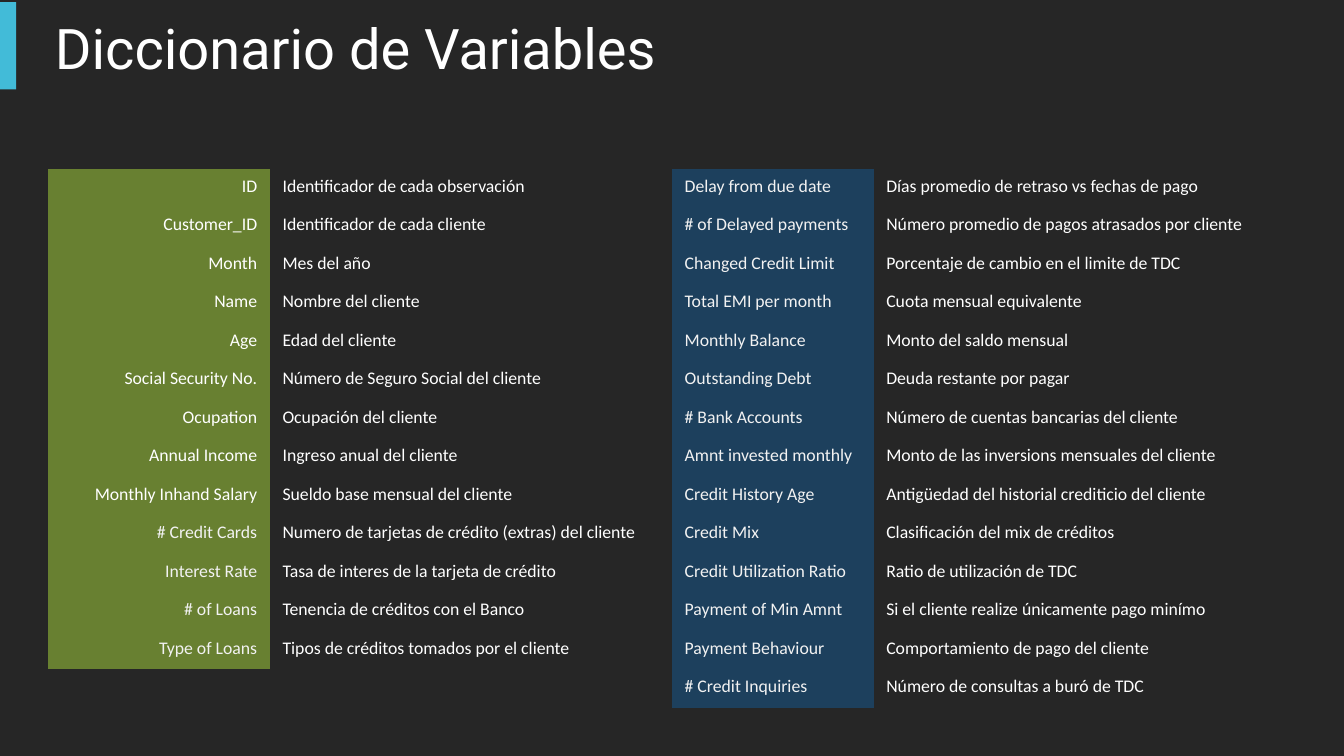
"""Build the variable dictionary slide with its two tables of names and meanings."""
from dataclasses import dataclass

from pptx import Presentation
from pptx.dml.color import RGBColor
from pptx.enum import shapes, text
from pptx.slide import Slide
from pptx.table import _Cell
from pptx.text.text import TextFrame
from pptx.util import Cm, Pt

CHARCOAL = RGBColor(0x26, 0x26, 0x26)
CYAN = RGBColor(0x42, 0xBB, 0xD8)
GREEN = RGBColor(0x68, 0x80, 0x31)
NAVY = RGBColor(0x1D, 0x40, 0x5D)
WHITE = RGBColor(0xFF, 0xFF, 0xFF)
PALE = RGBColor(0xF2, 0xF2, 0xF2)

TABLE_TOP = 6.38
ROW_HEIGHT = 1.455
PLAIN_STYLE = "{2D5ABB26-0587-4C30-8999-92F81FD0307C}"


@dataclass(frozen=True)
class Glossary:
    left: float
    widths: tuple[float, float]
    fill: RGBColor
    align: text.PP_ALIGN
    white_names: int
    entries: tuple[tuple[str, str], ...]


CLIENT = Glossary(1.82, (8.38, 14.8), GREEN, text.PP_ALIGN.RIGHT, 9, (
    ("ID", "Identificador de cada observación"),
    ("Customer_ID", "Identificador de cada cliente"),
    ("Month", "Mes del año"),
    ("Name", "Nombre del cliente"),
    ("Age", "Edad del cliente"),
    ("Social Security No.", "Número de Seguro Social del cliente"),
    ("Ocupation", "Ocupación del cliente"),
    ("Annual Income", "Ingreso anual del cliente"),
    ("Monthly Inhand Salary", "Sueldo base mensual del cliente"),
    ("# Credit Cards", "Numero de tarjetas de crédito (extras) del cliente"),
    ("Interest Rate", "Tasa de interes de la tarjeta de crédito"),
    ("# of Loans", "Tenencia de créditos con el Banco"),
    ("Type of Loans", "Tipos de créditos tomados por el cliente"),
))
CREDIT = Glossary(25.4, (7.62, 14.96), NAVY, text.PP_ALIGN.LEFT, 0, (
    ("Delay from due date", "Días promedio de retraso vs fechas de pago"),
    ("# of Delayed payments", "Número promedio de pagos atrasados por cliente"),
    ("Changed Credit Limit", "Porcentaje de cambio en el limite de TDC"),
    ("Total EMI per month", "Cuota mensual equivalente"),
    ("Monthly Balance", "Monto del saldo mensual"),
    ("Outstanding Debt", "Deuda restante por pagar"),
    ("# Bank Accounts", "Número de cuentas bancarias del cliente"),
    ("Amnt invested monthly", "Monto de las inversions mensuales del cliente"),
    ("Credit History Age", "Antigüedad del historial crediticio del cliente"),
    ("Credit Mix", "Clasificación del mix de créditos"),
    ("Credit Utilization Ratio", "Ratio de utilización de TDC"),
    ("Payment of Min Amnt", "Si el cliente realize únicamente pago minímo"),
    ("Payment Behaviour", "Comportamiento de pago del cliente"),
    ("# Credit Inquiries", "Número de consultas a buró de TDC"),
))


def write(frame: TextFrame, words: str, *, font: str, size: float,
          color: RGBColor = WHITE,
          align: text.PP_ALIGN = text.PP_ALIGN.LEFT) -> None:
    para = frame.paragraphs[0]
    para.alignment = align
    span = para.add_run()
    span.text = words
    span.font.name = font
    span.font.size = Pt(size)
    span.font.color.rgb = color


def fill_cell(cell: _Cell, words: str, *, fill: RGBColor | None = None,
              color: RGBColor = WHITE,
              align: text.PP_ALIGN = text.PP_ALIGN.LEFT) -> None:
    cell.margin_left = cell.margin_right = Cm(0.48)
    cell.margin_top = cell.margin_bottom = Cm(0.25)
    if fill is None:
        cell.fill.background()
    else:
        cell.fill.solid()
        cell.fill.fore_color.rgb = fill
    write(cell.text_frame, words, font="Calibri", size=19, color=color, align=align)


def add_glossary(page: Slide, glossary: Glossary) -> None:
    count = len(glossary.entries)
    holder = page.shapes.add_table(
        count, 2, Cm(glossary.left), Cm(TABLE_TOP),
        Cm(sum(glossary.widths)), Cm(count * ROW_HEIGHT))
    table = holder.table
    table.first_row = table.horz_banding = False
    holder._element.xpath(".//a:tableStyleId")[0].text = PLAIN_STYLE
    for column, width in zip(table.columns, glossary.widths):
        column.width = Cm(width)
    for index, (name, meaning) in enumerate(glossary.entries):
        table.rows[index].height = Cm(ROW_HEIGHT)
        color = WHITE if index < glossary.white_names else PALE
        fill_cell(table.cell(index, 0), name, fill=glossary.fill,
                  color=color, align=glossary.align)
        fill_cell(table.cell(index, 1), meaning)


def add_title(page: Slide, words: str) -> None:
    box = page.shapes.title
    box.left, box.top, box.width, box.height = Cm(1.82), Cm(0.46), Cm(29.77), Cm(2.74)
    box.text_frame.vertical_anchor = text.MSO_ANCHOR.TOP
    box.text_frame.word_wrap = True
    write(box.text_frame, words, font="Roboto", size=60)
    box.text_frame.paragraphs[0].line_spacing = Pt(70)


def add_accent(page: Slide) -> None:
    bar = page.shapes.add_shape(
        shapes.MSO_SHAPE.RECTANGLE, Cm(0), Cm(0.08), Cm(0.61), Cm(3.3))
    bar.shadow.inherit = False
    bar.fill.solid()
    bar.fill.fore_color.rgb = CYAN
    bar.line.fill.background()


def main() -> None:
    deck = Presentation()
    deck.slide_width, deck.slide_height = Cm(50.8), Cm(28.58)
    page = deck.slides.add_slide(deck.slide_layouts.get_by_name("Title Only"))
    page.background.fill.solid()
    page.background.fill.fore_color.rgb = CHARCOAL
    add_title(page, "Diccionario de Variables")
    add_accent(page)
    for glossary in (CLIENT, CREDIT):
        add_glossary(page, glossary)
    deck.save("out.pptx")


if __name__ == "__main__":
    main()
